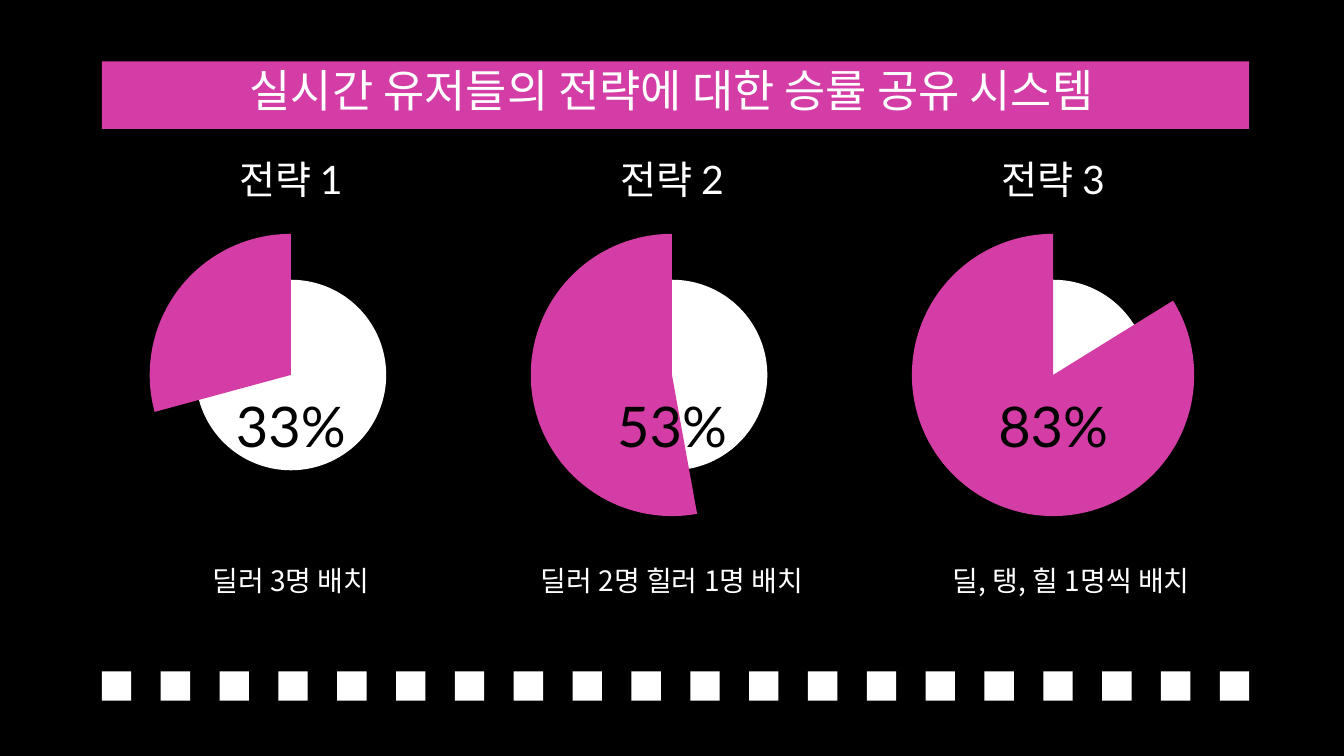
from lxml import etree
from pptx import Presentation
from pptx.dml.color import RGBColor
from pptx.enum.shapes import MSO_SHAPE as Preset
from pptx.enum.text import MSO_ANCHOR as Anchor, PP_ALIGN as Align
from pptx.oxml import parse_xml
from pptx.oxml.ns import nsdecls, qn
from pptx.util import Inches, Pt

COLORS = {"black": "000000", "white": "FFFFFF", "pink": "D33DA5"}
LATIN, KOREAN = "Lato", "Noto Sans CJK KR"
WIDTH, HEIGHT = 13.33, 7.5
MARGIN, BAND_WIDTH = 1.01, 11.38
COLUMN_STEP = 3.78
SQUARES = 20
TOP_ANGLE = 270
ANGLE_UNIT = 0.6

STRATEGIES = [
    ("전략 1", "33%", 164.82, "딜러 3명 배치", 0),
    ("전략 2", "53%", 79.73, "딜러 2명 힐러 1명 배치", 0),
    ("전략 3", "83%", 328.24, "딜, 탱, 힐 1명씩 배치", 0.18),
]


def color(name):
    return RGBColor.from_string(COLORS[name])


def add_filled(slide, preset, left, top, width, height, fill):
    shape = slide.shapes.add_shape(
        preset, Inches(left), Inches(top), Inches(width), Inches(height))
    shape.shadow.inherit = False
    shape.fill.solid()
    shape.fill.fore_color.rgb = color(fill)
    shape.line.fill.background()
    return shape


def add_disc(slide, preset, center, middle, size, fill):
    return add_filled(slide, preset, center - size / 2, middle - size / 2, size, size, fill)


def add_text(slide, text, center, middle, width, height, size, fill="white", font=LATIN):
    box = slide.shapes.add_textbox(
        Inches(center - width / 2), Inches(middle - height / 2), Inches(width), Inches(height))
    frame = box.text_frame
    frame.word_wrap = True
    frame.vertical_anchor = Anchor.MIDDLE
    paragraph = frame.paragraphs[0]
    paragraph.alignment = Align.CENTER
    paragraph.line_spacing = 0.9
    run = paragraph.add_run()
    run.text = text
    run.font.size = Pt(size)
    run.font.color.rgb = color(fill)
    run.font.name = font
    properties = run.font._element
    etree.SubElement(properties, qn("a:ea")).set("typeface", KOREAN)
    return run


def add_text_shadow(run):
    effects = parse_xml(
        f'<a:effectLst {nsdecls("a")}><a:outerShdw blurRad="38100" dist="76200" dir="5400000">'
        f'<a:srgbClr val="{COLORS["black"]}"><a:alpha val="65000"/></a:srgbClr>'
        '</a:outerShdw></a:effectLst>')
    run.font._element.find(qn("a:solidFill")).addnext(effects)


def add_title(slide, left, top, width, height):
    add_filled(slide, Preset.RECTANGLE, left, top, width, height, "pink")
    run = add_text(slide, "실시간 유저들의 전략에 대한 승률 공유 시스템",
                   WIDTH / 2, top + height / 2 - 0.02, width, height, 32)
    add_text_shadow(run)


def add_strategy(slide, center, middle, strategy):
    name, rate, start_angle, caption, caption_shift = strategy
    add_disc(slide, Preset.OVAL, center, middle, 1.89, "white")
    pie = add_disc(slide, Preset.PIE, center, middle, 2.8, "pink")
    pie.adjustments[0] = start_angle * ANGLE_UNIT
    pie.adjustments[1] = TOP_ANGLE * ANGLE_UNIT
    add_text(slide, name, center, middle - 1.92, 2.58, 0.56, 28)
    add_text(slide, rate, center, middle + 0.54, 2.58, 0.56, 40, "black")
    add_text(slide, caption, center + caption_shift, middle + 2.06, 3.37, 0.85, 20, font=KOREAN)


def add_square_row(slide, left, top, width):
    side = width / (2 * SQUARES - 1)
    for index in range(SQUARES):
        add_filled(slide, Preset.RECTANGLE, left + 2 * side * index, top, side, side, "white")


def main():
    presentation = Presentation()
    presentation.slide_width = Inches(WIDTH)
    presentation.slide_height = Inches(HEIGHT)
    slide = presentation.slides.add_slide(presentation.slide_layouts[6])
    slide.background.fill.solid()
    slide.background.fill.fore_color.rgb = color("black")
    add_square_row(slide, MARGIN, 6.66, BAND_WIDTH)
    add_title(slide, MARGIN, 0.61, BAND_WIDTH, 0.67)
    for column, strategy in enumerate(STRATEGIES):
        add_strategy(slide, WIDTH / 2 + (column - 1) * COLUMN_STEP, 3.72, strategy)
    presentation.save("out.pptx")


if __name__ == "__main__":
    main()
